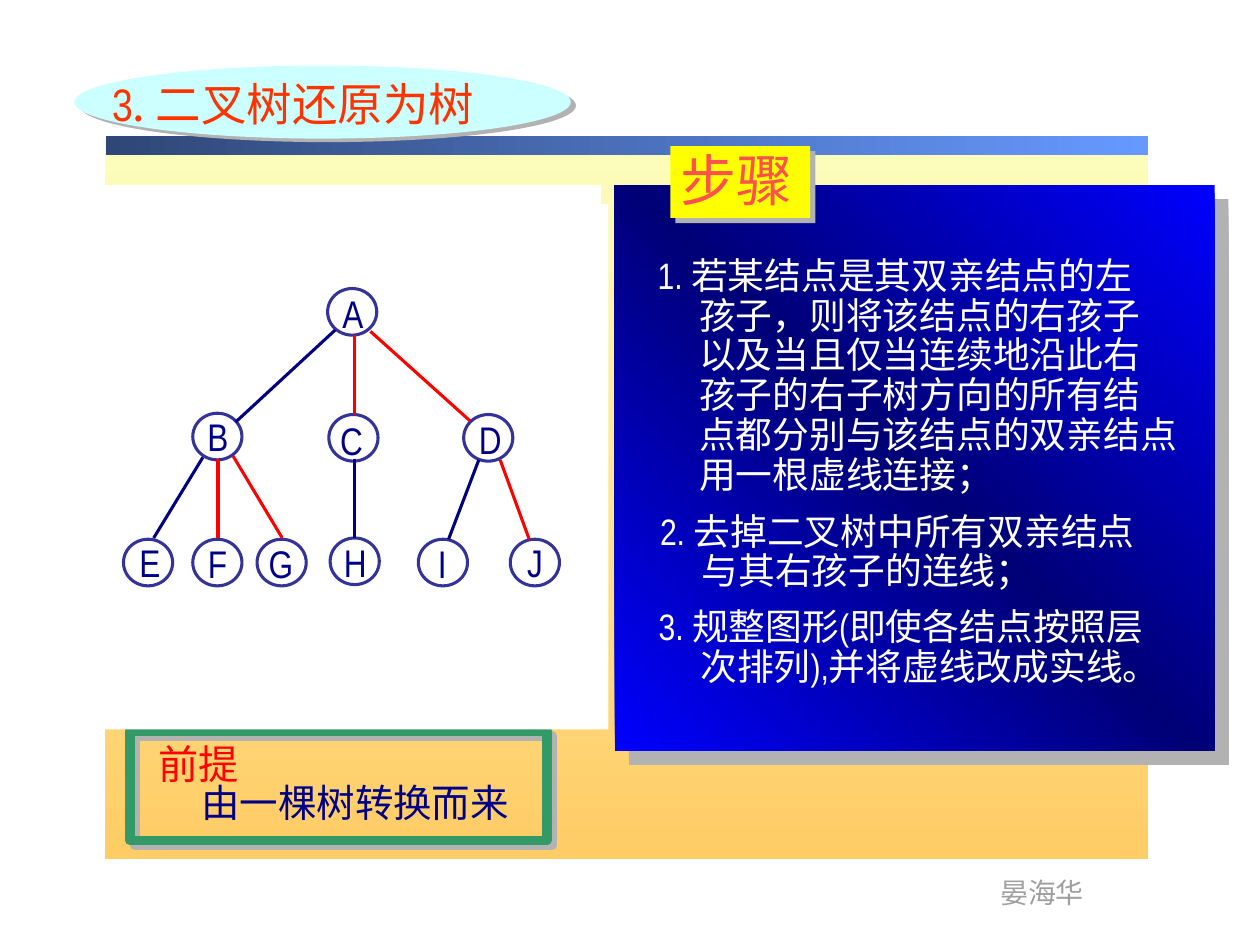
from dataclasses import dataclass

import lxml.etree
import pptx
import pptx.dml.color
import pptx.enum.shapes
import pptx.enum.text
import pptx.oxml
import pptx.oxml.ns
import pptx.util

Inches = pptx.util.Inches
Pt = pptx.util.Pt
qn = pptx.oxml.ns.qn
SHAPE = pptx.enum.shapes.MSO_SHAPE
ALIGN = pptx.enum.text.PP_ALIGN
AUTO_SIZE = pptx.enum.text.MSO_AUTO_SIZE

LATIN = "Arial Narrow"
CHINESE = "Noto Sans CJK SC"
LINE_HEIGHT = 1.2
CONTINUATION_INDENT = 0.33
NODE_SIZE = (0.39, 0.37)
COLORS = {
    "white": "FFFFFF", "cream": "FCFEBC", "sand": "FFCC66",
    "bar dark": "2F4776", "bar light": "6699FF", "author": "9F9F9F",
    "ellipse": "CCFFFF", "title": "FF3300", "red": "FF0000",
    "frame": "339966", "ink": "000086", "blue": "0000FF",
    "deep blue": "000076", "yellow": "FFFF00", "steps": "FF5050",
    "node": "333399", "branch": "000080", "shadow": "B2B2B2",
    "black": "000000",
}


@dataclass(frozen=True)
class Area:
    left: float
    top: float
    width: float
    height: float

    def lengths(self) -> list:
        return [Inches(v) for v in (self.left, self.top, self.width, self.height)]


@dataclass(frozen=True)
class TextStyle:
    size: float
    color: str
    font: str = LATIN
    spacing: float = 1.0
    wrap: bool = True
    align: ALIGN = ALIGN.LEFT
    shadow: bool = False


@dataclass(frozen=True)
class Node:
    letter: str
    left: float
    top: float
    text_left: float
    text_top: float
    text_width: float


@dataclass(frozen=True)
class Branch:
    start: tuple
    end: tuple
    color: str = "branch"


@dataclass(frozen=True)
class Step:
    area: Area
    lines: tuple


def rgb(name: str) -> pptx.dml.color.RGBColor:
    return pptx.dml.color.RGBColor.from_string(COLORS[name])


def add_shadow(effects, color: str, distance: float, angle: float) -> None:
    shadow = lxml.etree.SubElement(effects, qn("a:outerShdw"), blurRad="0",
                                   dist=str(int(Pt(distance))), dir=str(int(angle * 60000)),
                                   algn="ctr", rotWithShape="0")
    lxml.etree.SubElement(shadow, qn("a:srgbClr"), val=COLORS[color])


def add_block(slide, kind: SHAPE, area: Area, fill: str = "", line: str = "",
              line_width: float = 0, shadow: tuple = ()):
    block = slide.shapes.add_shape(kind, *area.lengths())
    if fill:
        block.fill.solid()
        block.fill.fore_color.rgb = rgb(fill)
    else:
        block.fill.background()
    if line:
        block.line.color.rgb = rgb(line)
        block.line.width = Pt(line_width)
    else:
        block.line.fill.background()
    block.shadow.inherit = False
    if shadow:
        add_shadow(block.element.spPr.find(qn("a:effectLst")), "shadow", *shadow)
    return block


def set_gradient(block, colors: tuple, angle: int) -> None:
    gradient = lxml.etree.Element(qn("a:gradFill"), rotWithShape="1")
    stops = lxml.etree.SubElement(gradient, qn("a:gsLst"))
    for index, name in enumerate(colors):
        position = 100000 * index // (len(colors) - 1)
        stop = lxml.etree.SubElement(stops, qn("a:gs"), pos=str(position))
        lxml.etree.SubElement(stop, qn("a:srgbClr"), val=COLORS[name])
    lxml.etree.SubElement(gradient, qn("a:lin"), ang=str(angle * 60000), scaled="1")
    properties = block.element.spPr
    properties.replace(properties.find(qn("a:noFill")), gradient)


def add_span(para, text: str, style: TextStyle, font: str) -> None:
    span = para.add_run()
    span.text = text
    span.font.size = Pt(style.size)
    span.font.name = font
    span.font.color.rgb = rgb(style.color)
    properties = span.font._element
    lxml.etree.SubElement(properties, qn("a:ea"), typeface=CHINESE)
    if style.shadow:
        effects = lxml.etree.Element(qn("a:effectLst"))
        add_shadow(effects, "black", 1.5, 45)
        properties.find(qn("a:solidFill")).addnext(effects)


def format_para(para, style: TextStyle) -> None:
    para.alignment = style.align
    para.line_spacing = Pt(round(style.size * LINE_HEIGHT * style.spacing, 1))


def add_text(slide, area: Area, lines: tuple, style: TextStyle) -> None:
    box = slide.shapes.add_textbox(*area.lengths())
    frame = box.text_frame
    frame.word_wrap = style.wrap
    frame.auto_size = AUTO_SIZE.SHAPE_TO_FIT_TEXT
    for index, line in enumerate(lines):
        para = frame.add_paragraph() if index else frame.paragraphs[0]
        format_para(para, style)
        if index:
            para._p.get_or_add_pPr().set("marL", str(int(Inches(CONTINUATION_INDENT))))
        add_span(para, line, style, style.font)


def add_title(slide) -> None:
    add_block(slide, SHAPE.OVAL, Area(0.59, 0.52, 3.94, 0.58), "ellipse", shadow=(3.6, 34))
    title = slide.shapes.title
    title.left, title.top, title.width, title.height = Area(0.79, 0.55, 3.89, 0.53).lengths()
    frame = title.text_frame
    frame.word_wrap = True
    frame.auto_size = AUTO_SIZE.NONE
    frame.vertical_anchor = pptx.enum.text.MSO_ANCHOR.TOP
    style = TextStyle(26, "title", shadow=True)
    para = frame.paragraphs[0]
    format_para(para, style)
    add_span(para, "3", style, LATIN)
    add_span(para, ". 二叉树还原为树", style, CHINESE)
    title.element.getparent().append(title.element)


def add_branch(slide, branch: Branch) -> None:
    ends = [Inches(v) for v in branch.start + branch.end]
    line = slide.shapes.add_connector(pptx.enum.shapes.MSO_CONNECTOR.STRAIGHT, *ends)
    line.line.color.rgb = rgb(branch.color)
    line.line.width = Pt(1.75)
    lxml.etree.SubElement(line.element.spPr, qn("a:effectLst"))


STEPS = (
    Step(Area(5.12, 1.99, 4.41, 2.01), (
        "1. 若某结点是其双亲结点的左", "孩子，则将该结点的右孩子", "以及当且仅当连续地沿此右",
        "孩子的右子树方向的所有结", "点都分别与该结点的双亲结点", "用一根虚线连接；")),
    Step(Area(5.14, 4.02, 4.43, 0.73), ("2. 去掉二叉树中所有双亲结点", "与其右孩子的连线；")),
    Step(Area(5.13, 4.78, 4.64, 0.73), ("3. 规整图形(即使各结点按照层", "次排列),并将虚线改成实线。")),
)
NODES = (
    Node("A", 2.6, 2.29, 2.59, 2.25, 0.42), Node("B", 1.53, 3.28, 1.53, 3.23, 0.4),
    Node("C", 2.61, 3.29, 2.58, 3.26, 0.42), Node("D", 3.68, 3.29, 3.68, 3.25, 0.42),
    Node("E", 0.98, 4.28, 0.99, 4.23, 0.4), Node("F", 1.53, 4.28, 1.53, 4.24, 0.39),
    Node("G", 2.04, 4.28, 2.01, 4.24, 0.44), Node("H", 2.62, 4.27, 2.6, 4.23, 0.44),
    Node("I", 3.32, 4.28, 3.35, 4.24, 0.32), Node("J", 4.05, 4.28, 4.07, 4.23, 0.35),
)
BRANCHES = (
    Branch((1.61, 3.63), (1.22, 4.27)), Branch((2.66, 2.62), (1.87, 3.35)),
    Branch((2.94, 2.63), (3.73, 3.34), "red"), Branch((1.85, 3.62), (2.24, 4.27), "red"),
    Branch((1.73, 3.64), (1.73, 4.27), "red"), Branch((2.81, 3.64), (2.81, 4.27)),
    Branch((2.81, 2.66), (2.81, 3.29), "red"), Branch((3.97, 3.65), (4.2, 4.28), "red"),
    Branch((3.8, 3.65), (3.56, 4.28)),
)


def main() -> None:
    deck = pptx.Presentation()
    deck.slide_width, deck.slide_height = Inches(10), Inches(7.5)
    page = deck.slides.add_slide(deck.slide_layouts[5])

    backdrop = add_block(page, SHAPE.RECTANGLE, Area(0.83, 1.1, 8.28, 5.72))
    set_gradient(backdrop, ("cream", "sand"), 90)
    bar = add_block(page, SHAPE.RECTANGLE, Area(0.84, 1.08, 8.27, 0.15))
    set_gradient(bar, ("bar dark", "bar light"), 0)
    add_text(page, Area(7.84, 6.9, 0.87, 0.37), ("晏海华",), TextStyle(16, "author", wrap=False))
    add_title(page)

    add_text(page, Area(1.16, 5.82, 1.04, 0.48), ("前提",),
             TextStyle(23, "red", CHINESE, shadow=True))
    add_block(page, SHAPE.RECTANGLE, Area(1.03, 5.8, 3.31, 0.87), "", "frame", 5.5, (4.2, 45))
    add_text(page, Area(1.5, 6.13, 3.34, 0.47), ("由一棵树转换而来",), TextStyle(22, "ink"))

    panel = add_block(page, SHAPE.RECTANGLE, Area(4.88, 1.47, 4.76, 4.49), shadow=(11.3, 45))
    set_gradient(panel, ("blue", "deep blue", "blue"), 315)
    add_block(page, SHAPE.RECTANGLE, Area(5.32, 1.16, 1.11, 0.57), "yellow", shadow=(4.2, 45))
    add_text(page, Area(5.3, 1.24, 1.42, 0.5), ("步骤",),
             TextStyle(32, "steps", spacing=0.75, shadow=True))
    for step in STEPS:
        add_text(page, step.area, step.lines, TextStyle(21, "white", spacing=0.9))

    for left, top in ((0.67, 1.47), (0.73, 1.62)):
        add_block(page, SHAPE.RECTANGLE, Area(left, top, 4.1, 4.17), "white")
    for node in NODES:
        add_block(page, SHAPE.OVAL, Area(node.left, node.top, *NODE_SIZE), "", "node", 1.75)
    letter_style = TextStyle(22, "ink", wrap=False, align=ALIGN.CENTER)
    for node in NODES:
        area = Area(node.text_left, node.text_top, node.text_width, 0.47)
        add_text(page, area, (node.letter,), letter_style)
    for branch in BRANCHES:
        add_branch(page, branch)

    deck.save("out.pptx")


if __name__ == "__main__":
    main()
